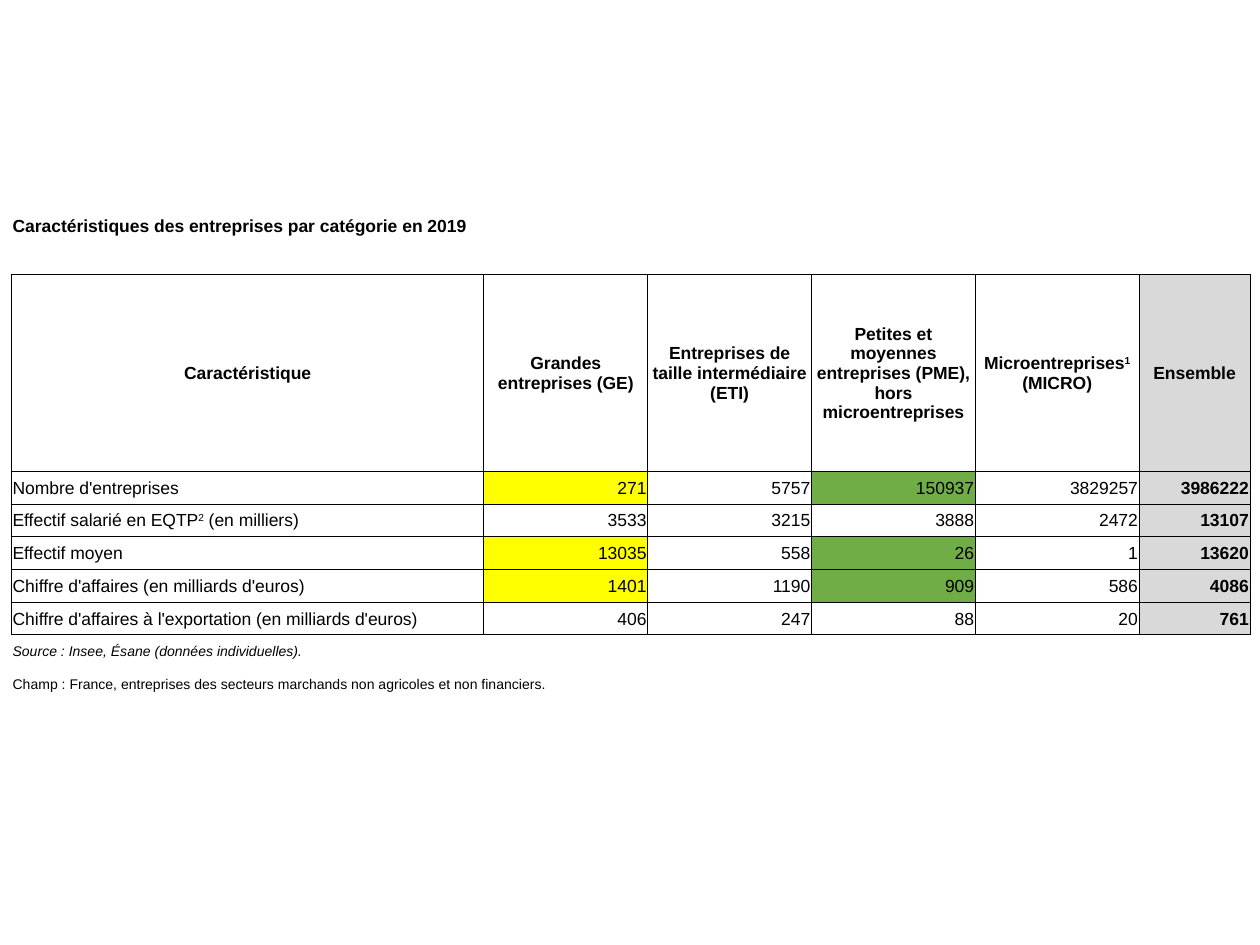
from dataclasses import dataclass

from lxml.etree import SubElement
from pptx import Presentation
from pptx.dml.color import RGBColor
from pptx.enum.text import MSO_ANCHOR as ANCHOR, PP_ALIGN as ALIGN
from pptx.oxml.ns import qn
from pptx.util import Inches, Pt


@dataclass(frozen=True)
class Theme:
    font: str = "Arial"
    body: float = 10
    note: float = 8
    ink: str = "000000"
    total: str = "D9D9D9"
    large: str = "FFFF00"
    medium: str = "70AD47"
    border: float = 0.5


THEME = Theme()
NO_STYLE = "{2D5ABB26-0587-4C30-8999-92F81FD0307C}"

TITLE = "Caractéristiques des entreprises par catégorie en 2019"
SOURCE = "Source : Insee, Ésane (données individuelles)."
SCOPE = "Champ : France, entreprises des secteurs marchands non agricoles et non financiers."

# A caret pair encloses superscript text.
HEADERS = [
    "Caractéristique",
    "Grandes entreprises (GE)",
    "Entreprises de taille intermédiaire (ETI)",
    "Petites et moyennes entreprises (PME), hors microentreprises",
    "Microentreprises^1^ (MICRO)",
    "Ensemble",
]
FIGURES = [
    ("Nombre d'entreprises", 271, 5757, 150937, 3829257, 3986222),
    ("Effectif salarié en EQTP^2^ (en milliers)", 3533, 3215, 3888, 2472, 13107),
    ("Effectif moyen", 13035, 558, 26, 1, 13620),
    ("Chiffre d'affaires (en milliards d'euros)", 1401, 1190, 909, 586, 4086),
    ("Chiffre d'affaires à l'exportation (en milliards d'euros)", 406, 247, 88, 20, 761),
]
HIGHLIGHTED = {0, 2, 3}
LARGE_COL, MEDIUM_COL, TOTAL_COL = 1, 3, 5

COL_WIDTHS = [3.75, 1.3, 1.3, 1.3, 1.3, 0.88]
ROW_HEIGHT, HEADER_HEIGHT = 0.26, 1.56
HEADER_ROW = 2
FIRST_FIGURE = HEADER_ROW + 1
SOURCE_ROW = FIRST_FIGURE + len(FIGURES)
SCOPE_ROW = SOURCE_ROW + 1


def add_table(slide):
    """Add an unstyled table with every cell empty and without fill."""
    heights = [ROW_HEIGHT] * (SCOPE_ROW + 1)
    heights[HEADER_ROW] = HEADER_HEIGHT
    frame = slide.shapes.add_table(
        len(heights), len(COL_WIDTHS), Inches(0.09), Inches(1.66),
        Inches(sum(COL_WIDTHS)), Inches(sum(heights)))
    table = frame.table
    table.first_row = table.horz_banding = False
    table._tbl.tblPr.find(qn("a:tableStyleId")).text = NO_STYLE
    for column, width in zip(table.columns, COL_WIDTHS):
        column.width = Inches(width)
    for row, height in zip(table.rows, heights):
        row.height = Inches(height)
    for cell in table.iter_cells():
        cell.margin_left = cell.margin_right = cell.margin_top = Inches(0.01)
        cell.margin_bottom = 0
        cell.vertical_anchor = ANCHOR.MIDDLE
        cell.fill.background()
        # Keeps empty cells from stretching their row.
        p = cell.text_frame.paragraphs[0]
        SubElement(p._p, qn("a:endParaRPr"), sz=str(THEME.note * 100))
    return table


def write_cell(cell, text, align=ALIGN.LEFT, size=THEME.body, bold=False, italic=False):
    p = cell.text_frame.paragraphs[0]
    p.alignment = align
    p.font.name, p.font.size = THEME.font, Pt(size)
    p.font.bold, p.font.italic = bold, italic
    p.font.color.rgb = RGBColor.from_string(THEME.ink)
    for i, part in enumerate(str(text).split("^")):
        r = p.add_run()
        r.text = part
        if i % 2:
            r._r.get_or_add_rPr().set("baseline", "30000")


def fill_cell(cell, color):
    cell.fill.solid()
    cell.fill.fore_color.rgb = RGBColor.from_string(color)


def border_cell(cell):
    tc_pr = cell._tc.get_or_add_tcPr()
    for i, side in enumerate(("a:lnL", "a:lnR", "a:lnT", "a:lnB")):
        line = tc_pr.makeelement(qn(side), {"w": str(Pt(THEME.border))})
        SubElement(SubElement(line, qn("a:solidFill")), qn("a:srgbClr"), val=THEME.ink)
        tc_pr.insert(i, line)


def fill_headers(table):
    for col, text in enumerate(HEADERS):
        write_cell(table.cell(HEADER_ROW, col), text, ALIGN.CENTER, bold=True)


def fill_figures(table):
    for i, values in enumerate(FIGURES):
        for col, value in enumerate(values):
            cell = table.cell(FIRST_FIGURE + i, col)
            align = ALIGN.RIGHT if col else ALIGN.LEFT
            write_cell(cell, value, align, bold=col == TOTAL_COL)
        if i in HIGHLIGHTED:
            fill_cell(table.cell(FIRST_FIGURE + i, LARGE_COL), THEME.large)
            fill_cell(table.cell(FIRST_FIGURE + i, MEDIUM_COL), THEME.medium)


def draw_grid(table):
    """Border the header and figures, and shade the total column."""
    for row in range(HEADER_ROW, SOURCE_ROW):
        fill_cell(table.cell(row, TOTAL_COL), THEME.total)
        for col in range(len(COL_WIDTHS)):
            border_cell(table.cell(row, col))


def main():
    prs = Presentation()
    prs.slide_width, prs.slide_height = Inches(10), Inches(7.5)
    slide = prs.slides.add_slide(prs.slide_layouts[6])
    table = add_table(slide)
    for row in (0, SCOPE_ROW):
        table.cell(row, 0).merge(table.cell(row, 1))
    write_cell(table.cell(0, 0), TITLE, bold=True)
    fill_headers(table)
    fill_figures(table)
    draw_grid(table)
    write_cell(table.cell(SOURCE_ROW, 0), SOURCE, size=THEME.note, italic=True)
    write_cell(table.cell(SCOPE_ROW, 0), SCOPE, size=THEME.note)
    prs.save("out.pptx")


if __name__ == "__main__":
    main()
